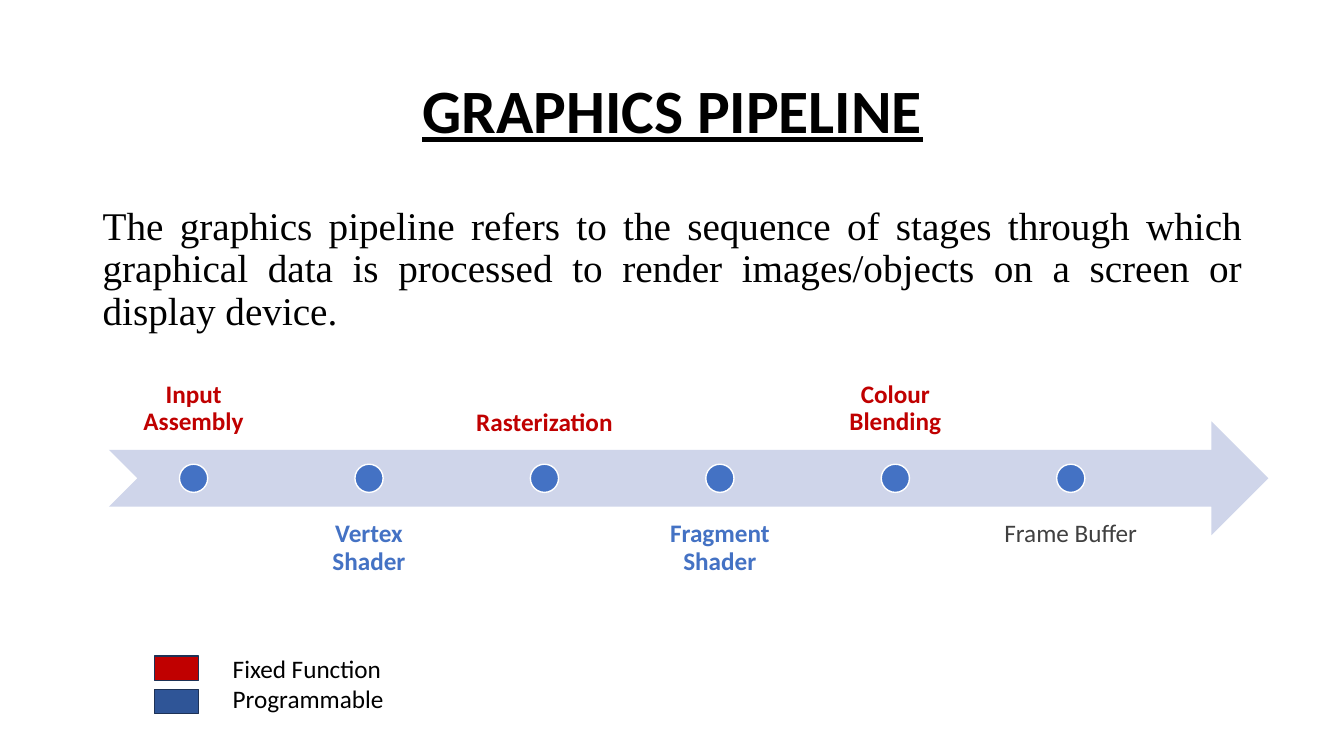
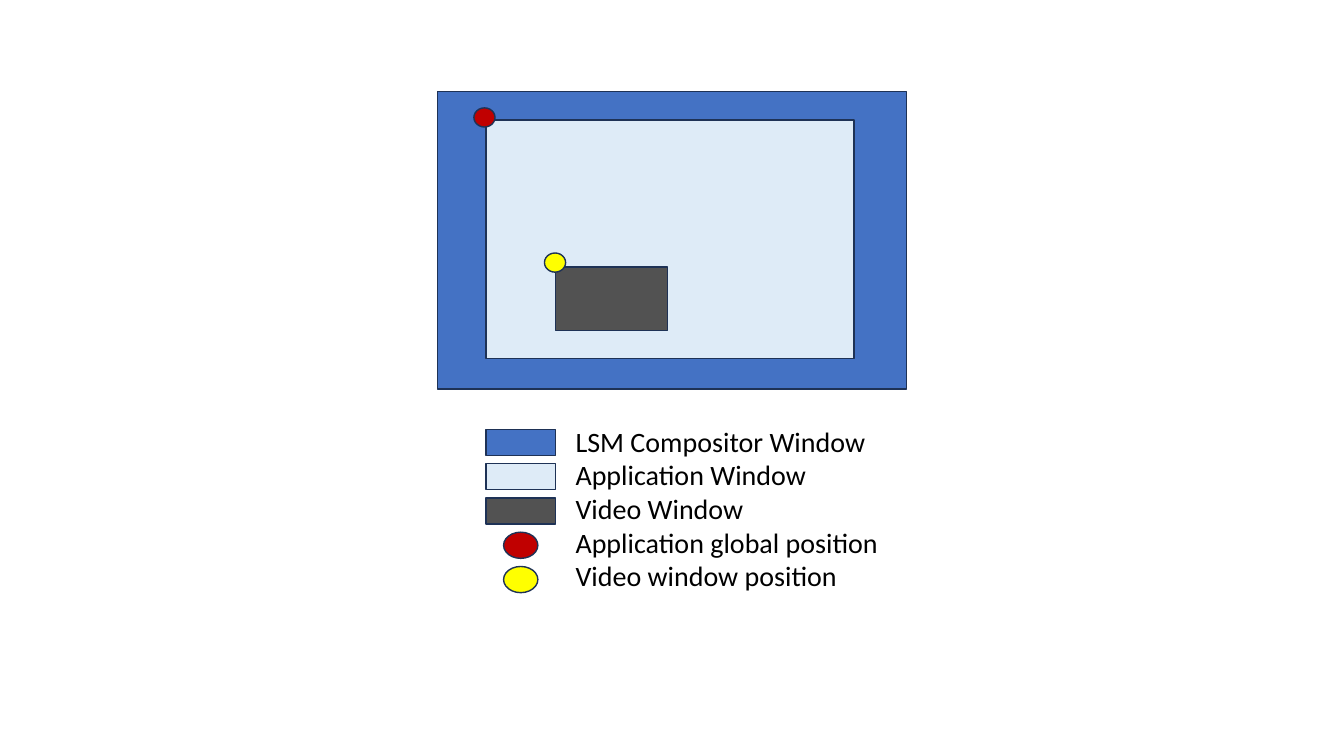
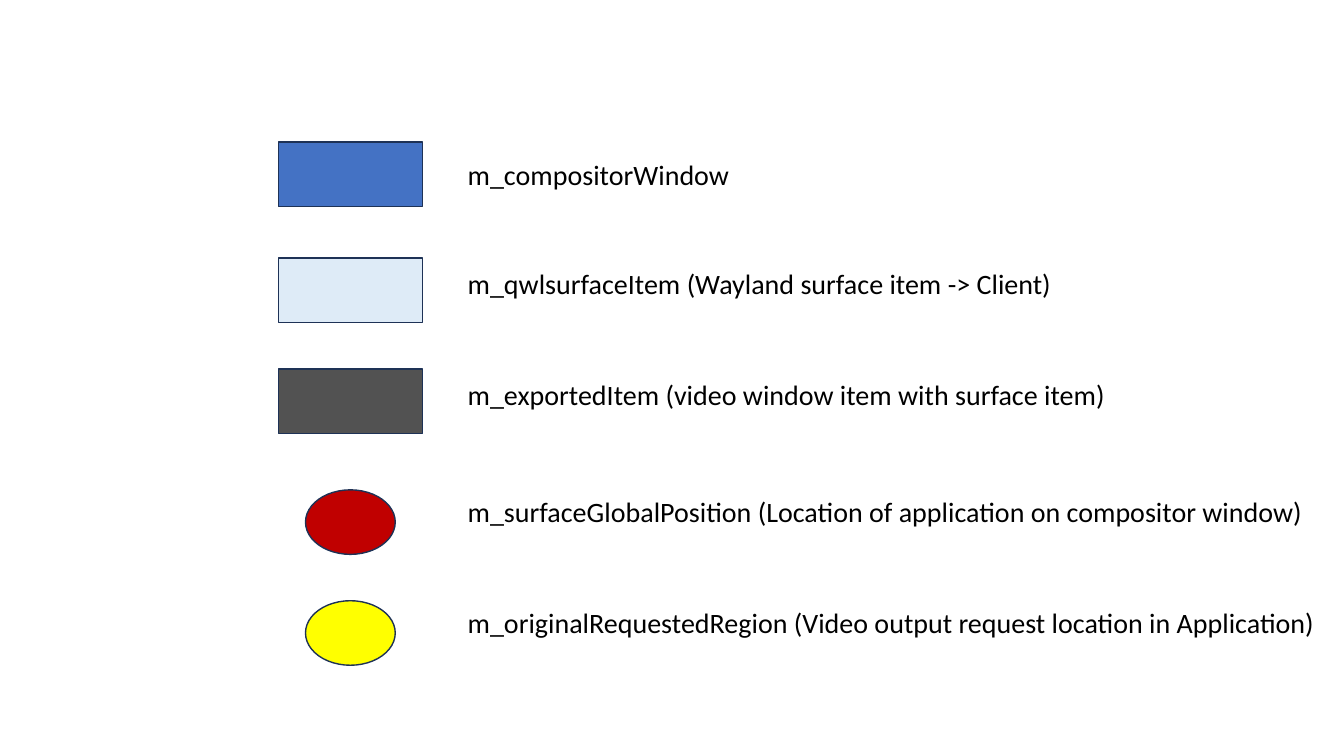
from pptx import Presentation
from pptx.dml.color import RGBColor as RGB
from pptx.enum.shapes import MSO_SHAPE as Geo
from pptx.enum.text import MSO_ANCHOR as Anchor, PP_ALIGN as Align
from pptx.util import Emu, Pt

UNIT = 9144
SANS, SERIF = "Calibri", "Times New Roman"
COLORS = {
    "ink": "000000",
    "edge": "1E3256",
    "white": "FFFFFF",
    "blue": "4472C4",
    "navy": "2F5597",
    "pale": "DEEBF7",
    "band": "CFD5EA",
    "red": "C00000",
    "yellow": "FFFF00",
    "gray": "525252",
    "slate": "404040",
}
RECT, DOT = Geo.RECTANGLE, Geo.FLOWCHART_CONNECTOR


def px(n):
    return Emu(round(n * UNIT))


def tint(name):
    return RGB.from_string(COLORS[name])


def shape(slide, kind, box, fill, edge="edge"):
    item = slide.shapes.add_shape(kind, *map(px, box))
    item.shadow.inherit = False
    item.fill.solid()
    item.fill.fore_color.rgb = tint(fill)
    if edge:
        item.line.color.rgb = tint(edge)
        item.line.width = Pt(1)
    else:
        item.line.fill.background()
    return item


def text(slide, box, words, size, color="ink", font=SANS, bold=False,
         line=False, align=Align.LEFT, anchor=Anchor.TOP, lead=1.0,
         before=0, pad=None):
    frame = slide.shapes.add_textbox(*map(px, box)).text_frame
    frame.word_wrap = True
    frame.vertical_anchor = anchor
    if pad is not None:
        frame.margin_left = frame.margin_right = px(pad)
        frame.margin_top = frame.margin_bottom = px(pad)
    frame.text = words
    for para in frame.paragraphs:
        para.alignment = align
        para.line_spacing = lead
        para.space_before = Pt(before)
        for run in para.runs:
            run.font.name = font
            run.font.size = Pt(size)
            run.font.bold = bold
            run.font.underline = line
            run.font.color.rgb = tint(color)


def title(slide, box, words):
    text(slide, box, words, 44, bold=True, line=True, align=Align.CENTER,
         anchor=Anchor.MIDDLE, lead=0.9)


def swatch(slide, box, color, oval=0):
    x, y, w, h = box
    if oval:
        shape(slide, DOT, (x + (w - oval) / 2, y, oval, h), color)
    else:
        shape(slide, RECT, box, color)


def legend(slide, box, rows, step, size, gap, lift, wide, oval=0):
    x, y, w, h = box
    for i, (color, _, is_dot) in enumerate(rows):
        swatch(slide, (x, y + i * step, w, h), color, oval if is_dot else 0)
    words = "\n".join(label for _, label, _ in rows)
    text(slide, (x + w + gap, y - lift, wide, len(rows) * step + 10),
         words, size)


def pipe(slide, box, stages):
    x, y, w, h = box
    pitch, wide, dot = 174, 166, 28
    shape(slide, Geo.NOTCHED_RIGHT_ARROW, box, "band", None)
    for i, (label, color, bold) in enumerate(stages):
        left = x + 1 + i * pitch
        top, anchor = (y + 85, Anchor.TOP) if i % 2 else (y - 84, Anchor.BOTTOM)
        text(slide, (left, top, wide, h), label, 18, color, bold=bold,
             align=Align.CENTER, anchor=anchor, lead=0.9, pad=14)
        shape(slide, Geo.OVAL, (left + (wide - dot) / 2, y + (h - dot) / 2,
                                dot, dot), "blue", "white")


def screen(slide, box):
    x, y, w, h = box
    parts = [
        (RECT, 0, 0, w, h, "blue"),
        (RECT, 48, 28, 365, 237, "pale"),
        (RECT, 117, 174, 111, 63, "gray"),
        (DOT, 36, 16, 21, 19, "red"),
        (DOT, 106, 160, 21, 19, "yellow"),
    ]
    for kind, dx, dy, wide, high, color in parts:
        shape(slide, kind, (x + dx, y + dy, wide, high), color)


def members(slide, box, rows):
    x, y, w, h = box
    for top, drop, color, label, oval in rows:
        swatch(slide, (x, y + top, w, h), color, oval)
        text(slide, (x + w + 35, y + top + drop, 867, 44), label, 20)


def main():
    deck = Presentation()
    deck.slide_width, deck.slide_height = px(1333), px(750)
    blank = deck.slide_layouts[6]
    first, second, third = [deck.slides.add_slide(blank) for _ in range(3)]

    title(first, (92, 40, 1150, 145), "GRAPHICS PIPELINE")
    text(first, (92, 200, 1150, 140),
         "The graphics pipeline refers to the sequence of stages through "
         "which graphical data is processed to render images/objects on a "
         "screen or display device.",
         28, font=SERIF, align=Align.JUSTIFY, lead=0.9, before=10)
    pipe(first, (108, 418, 1150, 113), [
        ("Input Assembly", "red", True),
        ("Vertex Shader", "blue", True),
        ("Rasterization", "red", True),
        ("Fragment Shader", "blue", True),
        ("Colour Blending", "red", True),
        ("Frame Buffer", "slate", False),
    ])
    legend(first, (153, 651, 44, 24), [
        ("red", "Fixed Function", False),
        ("navy", "Programmable", False),
    ], step=33, size=18, gap=24, lift=8, wide=609)

    screen(second, (434, 91, 465, 295))
    legend(second, (482, 426, 69, 26), [
        ("blue", "LSM Compositor Window", False),
        ("pale", "Application Window", False),
        ("gray", "Video Window", False),
        ("red", "Application global position", True),
        ("yellow", "Video window position", True),
    ], step=34, size=20, gap=10, lift=10, wide=465, oval=34)

    members(third, (276, 141, 143, 64), [
        (0, 10, "blue", "m_compositorWindow", 0),
        (115, 3, "pale",
         "m_qwlsurfaceItem (Wayland surface item -> Client)", 0),
        (225, 4, "gray",
         "m_exportedItem (video window item with surface item)", 0),
        (345, 0, "red", "m_surfaceGlobalPosition "
         "(Location of application on compositor window)", 89),
        (455, 0, "yellow", "m_originalRequestedRegion "
         "(Video output request location in Application)", 89),
    ])
    deck.save("out.pptx")


if __name__ == "__main__":
    main()
